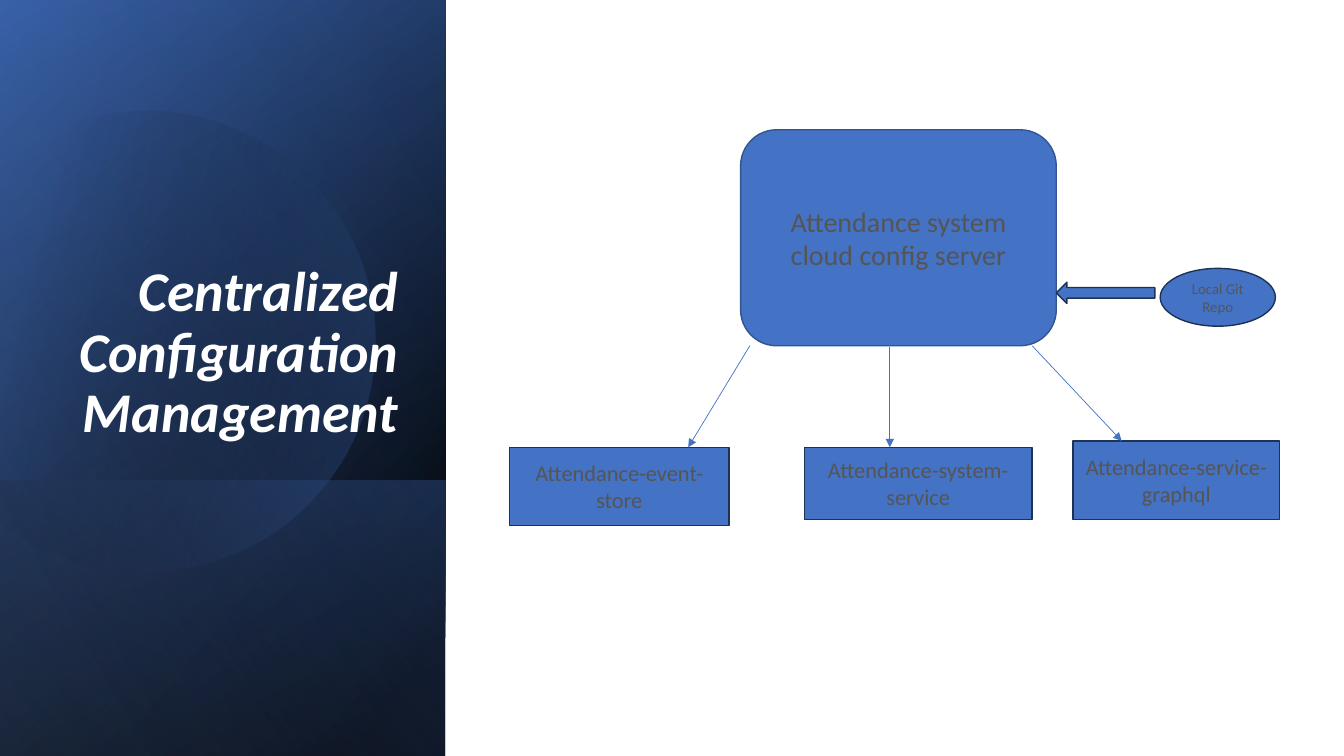
import math

import pptx
import pptx.util
import pptx.dml.color
import pptx.enum.shapes
import pptx.enum.text
import pptx.oxml
import pptx.oxml.ns
from pptx.util import Pt

SHAPE = pptx.enum.shapes.MSO_SHAPE
ANCHOR = pptx.enum.text.MSO_ANCHOR
ALIGN = pptx.enum.text.PP_ALIGN

# Content: lengths in points
SLIDE_WIDTH, SLIDE_HEIGHT = 960, 540
PANEL_WIDTH = 318.2
BLUE, NAVY, GREY = "4472C4", "1E3256", "555555"

TITLE = "Centralized Configuration Management"
TITLE_FRAME = (46, 132.7, 245.5, 188.6)
TITLE_FORMAT = {"name": "Calibri", "size": Pt(40), "bold": True, "italic": True}

# Panel layers: top, height, angle, stops of (position, colour, opacity) in percent
BASE_LAYERS = [
    (0, 540, 50, [(8, "000000", 100), (100, "2F5597", 100)]),
    (0, 540, 30, [(0, "000000", 0), (99, BLUE, 46)]),
    (343, 197, 130, [(2, BLUE, 29), (100, "000000", 30)]),
]
TOP_LAYER = (0, 540, 120, [(0, "000000", 0), (99, "8FAADC", 11)])

# Disc cut off at the left; its outline is given as it lies on the slide
DISC_FRAME = (-39.6, 76.3, 307.4, 329)
DISC_ROTATION = 343.9
DISC_ANGLE = 30
DISC_STOPS = [(29, "000000", 0), (100, BLUE, 43)]
DISC_OUTLINE = [
    ("moveTo", [(107.3, 79.2)]),
    ("cubicBezTo", [(177.1, 80.6), (241.2, 127.4), (261.4, 198)]),
    ("cubicBezTo", [(286.6, 285.8), (236.2, 376.6), (149, 401.8)]),
    ("cubicBezTo", [(94.3, 417.6), (38.2, 403.9), (-2.2, 370.1)]),
    ("lnTo", [(-10.8, 362.2)]),
    ("lnTo", [(-10.8, 126)]),
    ("lnTo", [(0, 115.9)]),
    ("cubicBezTo", [(16.6, 102.2), (36, 92.2), (57.6, 85.7)]),
    ("cubicBezTo", [(74.2, 81.4), (90.7, 79.2), (107.3, 79.2)]),
]

# Diagram: preset, frame, outline, text, text size
NODES = [
    (SHAPE.ROUNDED_RECTANGLE, (529, 92.7, 225.5, 154.3), "325491",
     "Attendance system cloud config server", 20),
    (SHAPE.RECTANGLE, (364, 319.5, 156.8, 56), NAVY, "Attendance-event-store", 16),
    (SHAPE.RECTANGLE, (574.6, 319.5, 162.6, 51.4), NAVY, "Attendance-system-service", 16),
    (SHAPE.RECTANGLE, (766.5, 315, 147.6, 56), NAVY, "Attendance-service-graphql", 16),
    (SHAPE.LEFT_ARROW, (754.5, 201.6, 70.4, 15.2), NAVY, "", 16),
    (SHAPE.OVAL, (828.7, 191.7, 82.3, 41.3), NAVY, "Local Git Repo", 10.6),
]
ARROWS = [
    ((635.6, 248.2), (635.6, 319.5)),
    ((737.3, 247), (801.2, 315)),
    ((535.6, 247), (491.6, 319.5)),
]


def colour(value):
    return pptx.dml.color.RGBColor.from_string(value)


def points(values):
    return [Pt(value) for value in values]


def make_element(xml):
    namespace = pptx.oxml.ns.nsdecls("a")
    return pptx.oxml.parse_xml(xml.replace(">", f" {namespace}>", 1))


def set_gradient(shape, angle, stops):
    shape.shadow.inherit = False
    shape.line.fill.background()
    shape.fill.gradient()
    properties = shape.fill._xPr
    stop_xml = "".join(
        f'<a:gs pos="{position * 1000}"><a:srgbClr val="{value}">'
        f'<a:alpha val="{opacity * 1000}"/></a:srgbClr></a:gs>'
        for position, value, opacity in stops)
    gradient = make_element(
        f'<a:gradFill rotWithShape="1"><a:gsLst>{stop_xml}</a:gsLst>'
        f'<a:lin ang="{angle * 60000}" scaled="0"/></a:gradFill>')
    properties.replace(properties.find(pptx.oxml.ns.qn("a:gradFill")), gradient)


def add_layer(page, top, height, angle, stops):
    # A quarter turn swaps the sides around a fixed centre
    left = (PANEL_WIDTH - height) / 2
    turned_top = top + (height - PANEL_WIDTH) / 2
    layer = page.shapes.add_shape(
        SHAPE.RECTANGLE, *points((left, turned_top, height, PANEL_WIDTH)))
    layer.rotation = 90
    layer._element.spPr.find(pptx.oxml.ns.qn("a:xfrm")).set("flipH", "1")
    set_gradient(layer, angle, stops)


def turn_back(point):
    # Place of a slide point inside the disc's frame before rotation
    left, top, width, height = DISC_FRAME
    turn = math.radians(-DISC_ROTATION)
    x, y = point[0] - left - width / 2, point[1] - top - height / 2
    return (Pt(x * math.cos(turn) - y * math.sin(turn) + width / 2),
            Pt(x * math.sin(turn) + y * math.cos(turn) + height / 2))


def add_disc(page):
    outline = [(step, [turn_back(point) for point in places])
               for step, places in DISC_OUTLINE]
    ends = [places[-1] for step, places in outline]
    builder = page.shapes.build_freeform(*ends[0])
    builder.add_line_segments(ends[1:], close=True)
    disc = builder.convert_to_shape()
    for name, value in zip(("left", "top", "width", "height"), points(DISC_FRAME)):
        setattr(disc, name, value)
    disc.rotation = DISC_ROTATION

    # Curved segments
    steps = "".join(
        f"<a:{step}>" + "".join(f'<a:pt x="{x}" y="{y}"/>' for x, y in places)
        + f"</a:{step}>" for step, places in outline)
    curve = make_element(
        f'<a:path w="{disc.width}" h="{disc.height}">{steps}<a:close/></a:path>')
    straight = next(disc._element.spPr.iter(pptx.oxml.ns.qn("a:path")))
    straight.getparent().replace(straight, curve)
    set_gradient(disc, DISC_ANGLE, DISC_STOPS)


def write_text(shape, text, anchor, alignment, text_colour, font_format, spacing):
    frame = shape.text_frame
    frame.word_wrap = True
    frame.vertical_anchor = anchor
    para = frame.paragraphs[0]
    for name, value in {"alignment": alignment, **spacing}.items():
        setattr(para, name, value)
    span = para.add_run()
    span.text = text
    for name, value in font_format.items():
        setattr(span.font, name, value)
    span.font.color.rgb = colour(text_colour)


def add_node(page, preset, frame, outline, text, size):
    node = page.shapes.add_shape(preset, *points(frame))
    node.shadow.inherit = False
    node.fill.solid()
    node.fill.fore_color.rgb = colour(BLUE)
    node.line.color.rgb = colour(outline)
    node.line.width = Pt(1)
    if text:
        write_text(node, text, ANCHOR.MIDDLE, ALIGN.CENTER, GREY,
                   {"name": "Calibri", "size": Pt(size)}, {"space_after": Pt(6)})


def add_arrow(page, start, end):
    arrow = page.shapes.add_connector(
        pptx.enum.shapes.MSO_CONNECTOR.STRAIGHT, *points(start + end))
    arrow.line.color.rgb = colour(BLUE)
    arrow.line.width = Pt(0.5)
    arrow.line._get_or_add_ln().append(make_element('<a:tailEnd type="triangle"></a:tailEnd>'))
    arrow._element.spPr.append(make_element("<a:effectLst></a:effectLst>"))


def main():
    deck = pptx.Presentation()
    deck.slide_width, deck.slide_height = points((SLIDE_WIDTH, SLIDE_HEIGHT))
    page = deck.slides.add_slide(deck.slide_layouts[6])

    # Left panel
    for layer in BASE_LAYERS:
        add_layer(page, *layer)
    add_disc(page)
    add_layer(page, *TOP_LAYER)

    # Title
    title = page.shapes.add_textbox(*points(TITLE_FRAME))
    write_text(title, TITLE, ANCHOR.BOTTOM, ALIGN.RIGHT, "FFFFFF",
               TITLE_FORMAT, {"line_spacing": 0.9})

    # Diagram
    for node in NODES:
        add_node(page, *node)
    for start, end in ARROWS:
        add_arrow(page, start, end)

    deck.save("out.pptx")


if __name__ == "__main__":
    main()
